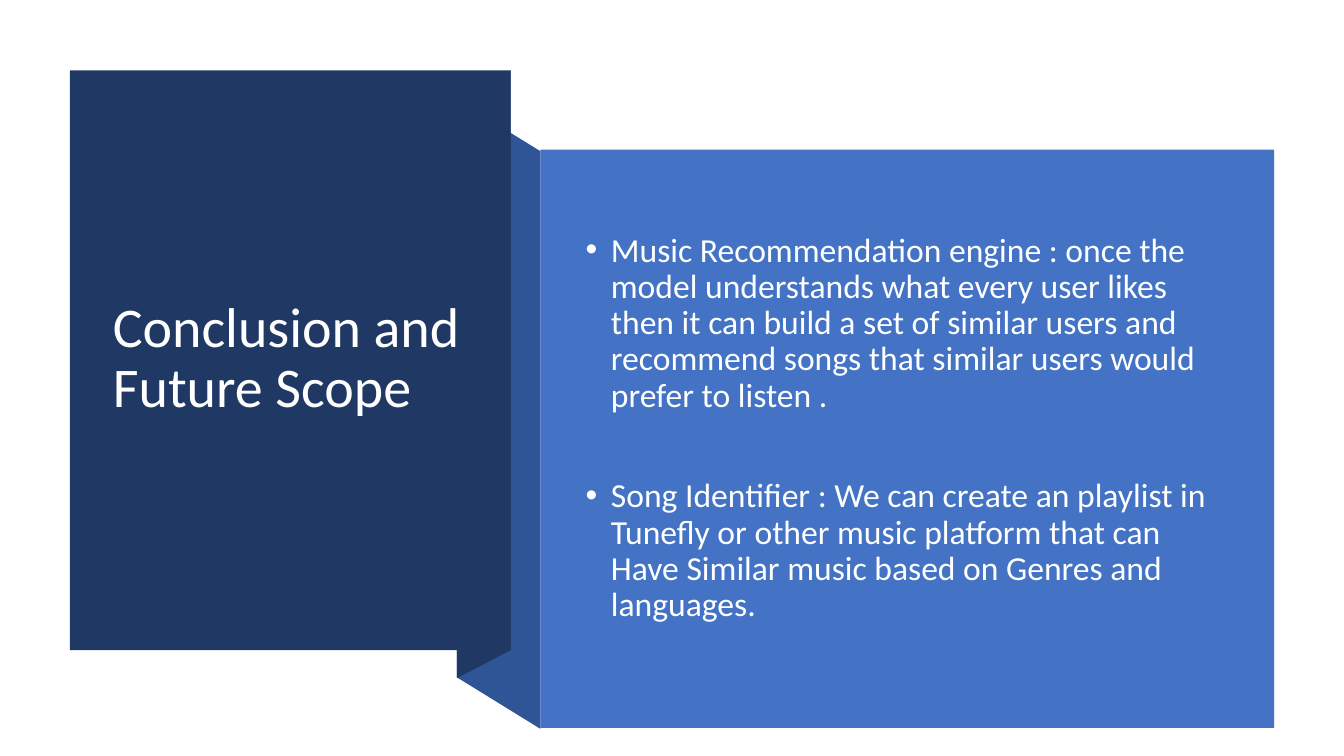
import pptx
import pptx.util
import pptx.dml.color
import pptx.enum.shapes
import pptx.enum.text
import lxml.etree
from dataclasses import dataclass


@dataclass(frozen=True)
class Theme:
    font: str = "Calibri"
    head: int = 40
    text: int = 24
    navy: str = "203864"
    fold: str = "2F5597"
    blue: str = "4472C4"
    white: str = "FFFFFF"
    pale: str = "FEFFFF"


THEME = Theme()
WIDE = pptx.util.Inches(13.33)
HIGH = pptx.util.Inches(7.5)
LEFT, FOLD, EDGE, PANEL, RIGHT = 5.2, 34, 38, 40.2, 94.8
TOP, BASE = 9.3, 86

POINTS = [
    "Music Recommendation engine : once the model understands what every user likes "
    "then it can build a set of similar users and recommend songs that similar users "
    "would prefer to listen .",
    "Song Identifier : We can create an playlist in Tunefly or other music platform "
    "that can Have Similar music based on Genres and languages.",
]


def across(share):
    return round(WIDE * share / 100)


def down(share):
    return round(HIGH * share / 100)


def paint(shape, color):
    shape.shadow.inherit = False
    shape.fill.solid()
    shape.fill.fore_color.rgb = pptx.dml.color.RGBColor.from_string(color)
    shape.line.fill.background()


def add_block(slide, left, top, width, height, color):
    kind = pptx.enum.shapes.MSO_SHAPE.RECTANGLE
    block = slide.shapes.add_shape(
        kind, across(left), down(top), across(width), down(height))
    paint(block, color)


def add_flap(slide, corners, color):
    spots = [(across(x), down(y)) for x, y in corners]
    build = slide.shapes.build_freeform(*spots[0])
    build.add_line_segments(spots[1:], close=True)
    paint(build.convert_to_shape(), color)


def place(holder, left, top, width, height):
    holder.left, holder.top = across(left), down(top)
    holder.width, holder.height = across(width), down(height)
    tree = holder.element.getparent()
    tree.append(holder.element)
    frame = holder.text_frame
    frame.word_wrap = True
    frame.auto_size = pptx.enum.text.MSO_AUTO_SIZE.NONE
    frame.vertical_anchor = pptx.enum.text.MSO_ANCHOR.MIDDLE
    return frame


def style(para, size, color, before=0):
    para.alignment = pptx.enum.text.PP_ALIGN.LEFT
    para.line_spacing = 0.9
    para.space_before = pptx.util.Pt(before)
    para.font.name = THEME.font
    para.font.size = pptx.util.Pt(size)
    para.font.color.rgb = pptx.dml.color.RGBColor.from_string(color)


def add_bullet(para):
    props = para._p.get_or_add_pPr()
    hang = pptx.util.Inches(0.25)
    props.set("marL", str(hang))
    props.set("indent", str(-hang))
    name = pptx.oxml.ns.qn
    lxml.etree.SubElement(props, name("a:buFont")).set("typeface", "Arial")
    lxml.etree.SubElement(props, name("a:buChar")).set("char", "•")


def fill_title(slide):
    frame = place(slide.shapes.title, 7.65, 14.27, 27.83, 66.53)
    frame.text = "Conclusion and Future Scope"
    style(frame.paragraphs[0], THEME.head, THEME.white)


def fill_list(slide):
    frame = place(slide.placeholders[1], 42.83, 25.07, 48.83, 63.2)
    frame.text = "\n".join(POINTS)
    for rank, para in enumerate(frame.paragraphs):
        add_bullet(para)
        style(para, THEME.text, THEME.pale, 46 * rank)


def main():
    deck = pptx.Presentation()
    deck.slide_width, deck.slide_height = WIDE, HIGH
    slide = deck.slides.add_slide(deck.slide_layouts[1])
    add_flap(slide, [(PANEL, 96.4), (FOLD, 89.6), (FOLD, 13.2), (PANEL, 20)],
             THEME.fold)
    add_flap(slide, [(EDGE, BASE), (FOLD, 89.7), (FOLD, 13.1), (EDGE, TOP)],
             THEME.navy)
    add_block(slide, LEFT, TOP, EDGE - LEFT, BASE - TOP, THEME.navy)
    fill_title(slide)
    add_block(slide, PANEL, 19.8, RIGHT - PANEL, 76.5, THEME.blue)
    fill_list(slide)
    deck.save("out.pptx")


if __name__ == "__main__":
    main()
